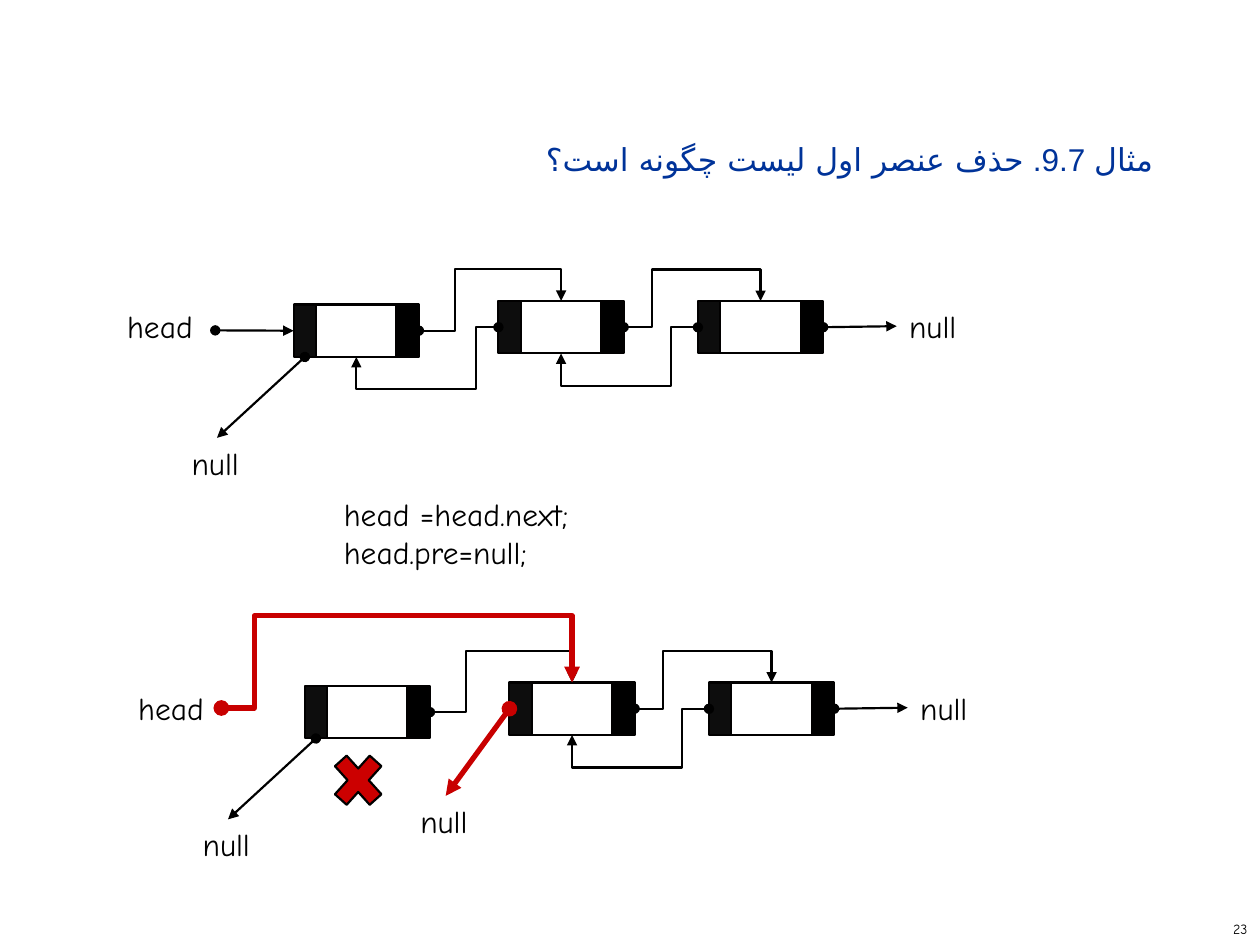
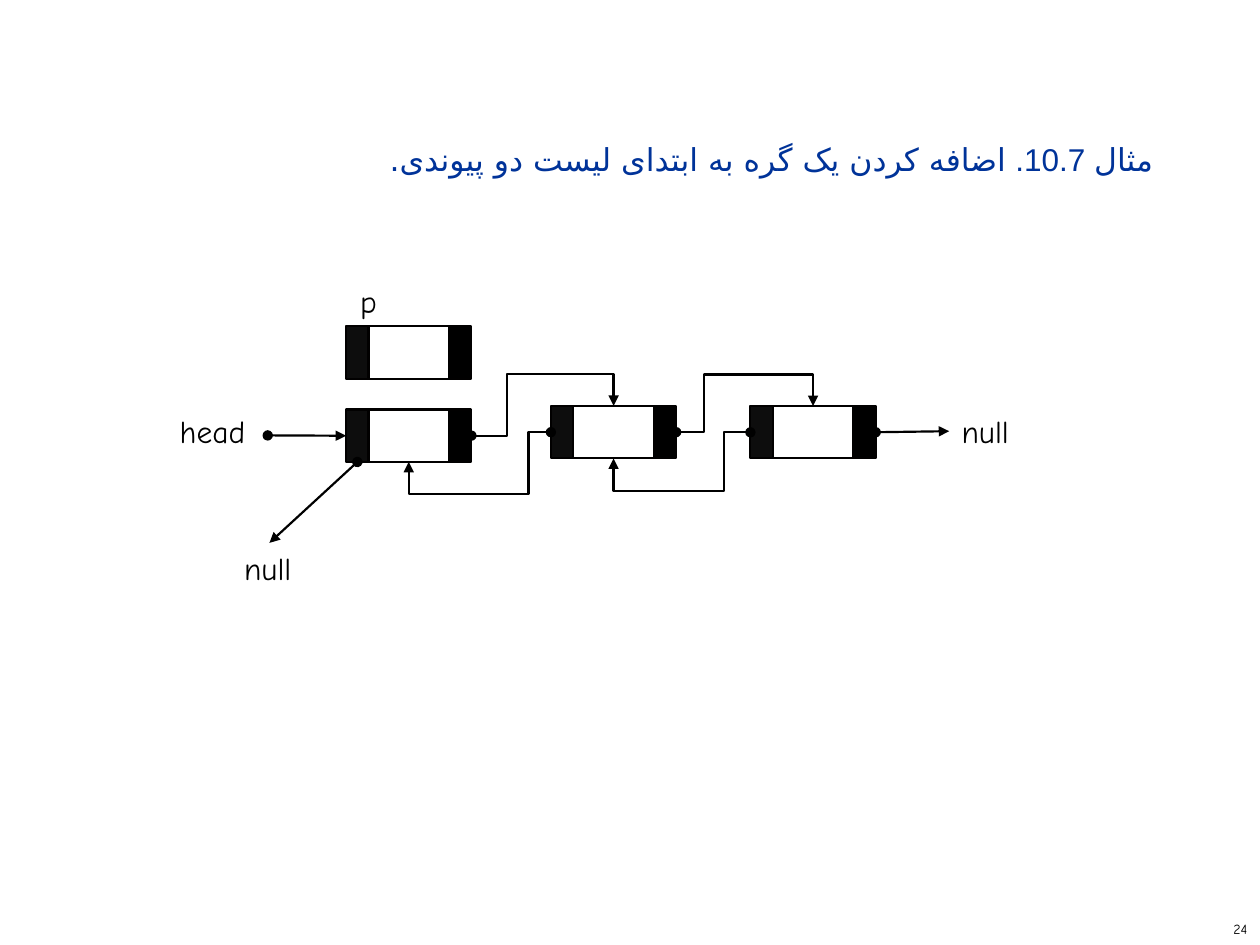
from dataclasses import dataclass

from lxml.etree import SubElement
from pptx import Presentation
from pptx.dml.color import RGBColor
from pptx.enum.shapes import MSO_CONNECTOR, MSO_SHAPE
from pptx.enum.text import MSO_ANCHOR, MSO_AUTO_SIZE, PP_ALIGN
from pptx.oxml.ns import qn
from pptx.util import Pt


@dataclass(frozen=True)
class Theme:
    font: str = "Comic Neue"
    script_font: str = "DejaVu Sans"
    digit_font: str = "Arial"
    title: str = "003399"
    ink: str = "000000"
    outline: str = "010000"
    paper: str = "FFFFFF"
    previous_cell: str = "0D0D0D"
    change: str = "C80000"
    cross: str = "CC0000"
    text_size: float = 18
    number_size: float = 8
    title_spacing: float = 26
    thin: float = 1.25
    thick: float = 3


THEME = Theme()
TOP, LEFT, BOTTOM, RIGHT = range(4)
CELL_WIDTH, DATA_WIDTH, NODE_HEIGHT = 12.8, 46, 30
NODE_PLACES = ((0, 2), (117, 0), (231, 0))
LABEL_HEIGHT = 28.8
HEAD_WIDTH, NULL_WIDTH = 54.7, 43.2
FORWARD_BENDS = ((0.253, 2.064), (0.205, 2.2))
BACKWARD_BENDS = ((0.158, 2.08), (0.195, 2.238))


def script_pieces(line):
    word, number, rest = line.split(" ", 2)
    return ((word, THEME.script_font), (f" {number} ", THEME.digit_font),
            (rest, THEME.script_font))


def add_text(slide, text, left, top, width, height, *, size=THEME.text_size,
             color=THEME.ink, align=None, anchor=MSO_ANCHOR.TOP, wrap=False,
             grow=True, right_to_left=False, spacing=None):
    box = slide.shapes.add_textbox(Pt(left), Pt(top), Pt(width), Pt(height))
    frame = box.text_frame
    frame.word_wrap = wrap
    frame.vertical_anchor = anchor
    frame.auto_size = MSO_AUTO_SIZE.SHAPE_TO_FIT_TEXT if grow else MSO_AUTO_SIZE.NONE
    for index, line in enumerate(text.split("\n")):
        para = frame.add_paragraph() if index else frame.paragraphs[0]
        para.alignment = align
        if spacing:
            para.line_spacing = Pt(spacing)
        if right_to_left:
            para._p.get_or_add_pPr().set("rtl", "1")
        pieces = script_pieces(line) if right_to_left else ((line, None),)
        for words, script_font in pieces:
            span = para.add_run()
            span.text = words
            span.font.name = THEME.font
            span.font.size = Pt(size)
            span.font.color.rgb = RGBColor.from_string(color)
            if script_font:
                SubElement(span.font._element, qn("a:cs"), typeface=script_font)
    return box


def add_solid(shapes, kind, left, top, width, height, fill, outline):
    shape = shapes.add_shape(kind, Pt(left), Pt(top), Pt(width), Pt(height))
    shape.shadow.inherit = False
    shape.fill.solid()
    shape.fill.fore_color.rgb = RGBColor.from_string(fill)
    shape.line.color.rgb = RGBColor.from_string(outline)
    shape.line.width = Pt(THEME.thin)
    return shape


@dataclass
class Node:
    previous: object
    data: object
    next: object


def add_node(slide, left, top):
    group = slide.shapes.add_group_shape()

    def cell(offset, width, fill):
        return add_solid(group.shapes, MSO_SHAPE.RECTANGLE, left + offset, top,
                         width, NODE_HEIGHT, fill, THEME.outline)

    data = cell(CELL_WIDTH, DATA_WIDTH, THEME.paper)
    following = cell(CELL_WIDTH + DATA_WIDTH, CELL_WIDTH, THEME.ink)
    previous = cell(0, CELL_WIDTH, THEME.previous_cell)
    return Node(previous, data, following)


def bend(connector, bends):
    properties = connector._element.spPr
    frame = properties.find(qn("a:xfrm"))
    if connector.begin_x > connector.end_x:
        del frame.attrib["flipH"]
        frame.set("rot", "10800000")
        frame.set("flipV", "1")
    geometry = properties.find(qn("a:prstGeom"))
    geometry.set("prst", "bentConnector4")
    guides = geometry.find(qn("a:avLst"))
    if guides is None:
        guides = SubElement(geometry, qn("a:avLst"))
    for index, share in enumerate(bends, 1):
        SubElement(guides, qn("a:gd"), name=f"adj{index}",
                   fmla=f"val {round(share * 100000)}")


def add_link(slide, start, target, side, *, start_side=None, bends=None,
             color=THEME.ink, weight=THEME.thin):
    kind = MSO_CONNECTOR.ELBOW if bends else MSO_CONNECTOR.STRAIGHT
    connector = slide.shapes.add_connector(kind, 0, 0, 0, 0)
    if start_side is None:
        connector.begin_x, connector.begin_y = (Pt(place) for place in start)
    else:
        connector.begin_connect(start, start_side)
    connector.end_connect(target, side)
    if bends:
        bend(connector, bends)
    connector.line.color.rgb = RGBColor.from_string(color)
    connector.line.width = Pt(weight)
    properties = connector._element.spPr
    stroke = properties.find(qn("a:ln"))
    SubElement(stroke, qn("a:headEnd"), type="oval")
    SubElement(stroke, qn("a:tailEnd"), type="triangle")
    SubElement(properties, qn("a:effectLst"))
    return connector


def add_null(slide, left, top, cell, cell_side, label_side, **style):
    label = add_text(slide, "null", left, top, NULL_WIDTH, LABEL_HEIGHT)
    add_link(slide, cell, label, label_side, start_side=cell_side, **style)


def add_list(slide, left, top, first_linked=True):
    nodes = [add_node(slide, left + x, top + y) for x, y in NODE_PLACES]
    add_text(slide, "head", left - 102.2, top, HEAD_WIDTH, LABEL_HEIGHT)
    add_null(slide, left + 344.6, top, nodes[-1].next, RIGHT, LEFT)
    add_null(slide, left - 65.4, top + 78.2, nodes[0].previous, BOTTOM, TOP)
    if first_linked:
        add_link(slide, (left - 44.8, top + 16.8), nodes[0].previous, LEFT)
    pairs = zip(nodes, nodes[1:], FORWARD_BENDS, BACKWARD_BENDS)
    for index, (near, far, forward, backward) in enumerate(pairs):
        add_link(slide, near.next, far.data, TOP, start_side=RIGHT, bends=forward)
        if index or first_linked:
            add_link(slide, far.previous, near.data, BOTTOM, start_side=LEFT,
                     bends=backward)
    return nodes


def add_list_after_removal(slide, left, top):
    second = add_list(slide, left, top, first_linked=False)[1]
    change = {"color": THEME.change, "weight": THEME.thick}
    add_link(slide, (left - 47.6, top + 14.6), second.data, TOP,
             bends=(0.094, 3.608), **change)
    add_null(slide, left + 59, top + 64.8, second.previous, LEFT, TOP, **change)
    add_solid(slide.shapes, MSO_SHAPE.MATH_MULTIPLY, left + 11.5, top + 34.6,
              38.2, 42.5, THEME.cross, THEME.ink)


def add_list_with_new_node(slide, left, top):
    add_list(slide, left, top)
    add_node(slide, left, top - 45.6)
    add_text(slide, "p", left + 1, top - 74.2, 24.5, LABEL_HEIGHT)


def add_page(deck, title, number):
    page = deck.slides.add_slide(deck.slide_layouts[6])
    add_text(page, title, 48, 72, 618, 41, color=THEME.title,
             align=PP_ALIGN.RIGHT, wrap=True, grow=False, right_to_left=True,
             spacing=THEME.title_spacing)
    add_text(page, str(number), 570, 522, 150, 18, size=THEME.number_size,
             align=PP_ALIGN.RIGHT, anchor=MSO_ANCHOR.MIDDLE, grow=False)
    return page


def build_removal_page(deck):
    page = add_page(deck, "مثال 9.7. حذف عنصر اول لیست چگونه است؟", 23)
    add_list(page, 167.8, 172)
    add_text(page, "head =head.next;\nhead.pre=null;", 189.4, 279.2, 159, 51)
    add_list_after_removal(page, 174.1, 390)


def build_insertion_page(deck):
    page = add_page(
        deck, "مثال 10.7. اضافه کردن یک گره به ابتدای لیست دو پیوندی.", 24)
    add_list_with_new_node(page, 197.8, 232)


def main():
    deck = Presentation()
    deck.slide_width, deck.slide_height = Pt(720), Pt(540)
    build_removal_page(deck)
    build_insertion_page(deck)
    deck.save("out.pptx")


if __name__ == "__main__":
    main()
